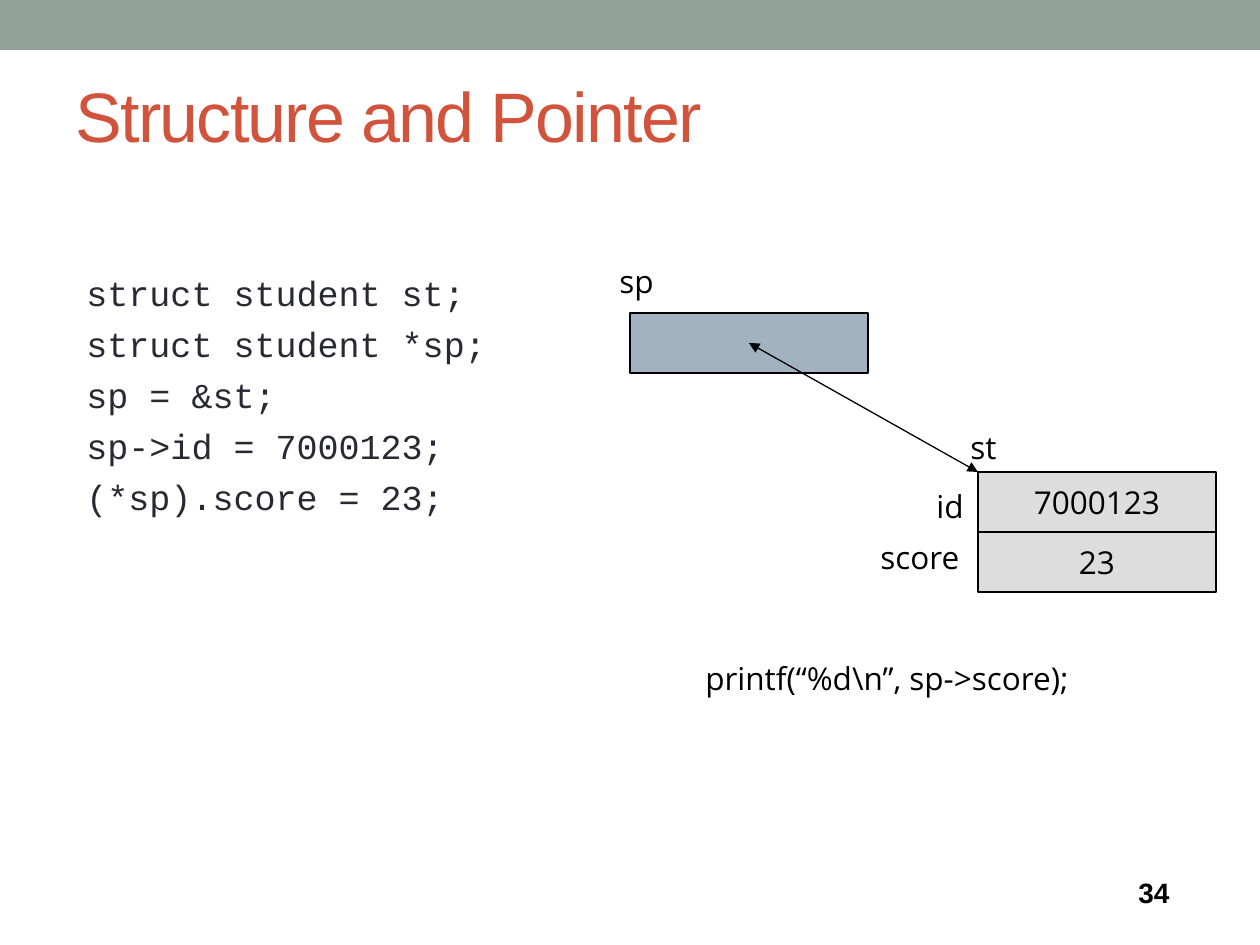
from pptx import Presentation
from pptx import util as u
from pptx.dml.color import RGBColor
from pptx.enum import shapes, text
from lxml import etree

PX = 914400 // 126
SAGE = RGBColor(0x93, 0xA2, 0x99)
RED = RGBColor(0xD2, 0x53, 0x3C)
INK = RGBColor(0x29, 0x29, 0x34)
BLUE_GRAY = RGBColor(0xA3, 0xB2, 0xC1)
LIGHT_GRAY = RGBColor(0xDD, 0xDD, 0xDD)
BLACK = RGBColor(0, 0, 0)
LINE_WIDTH = u.Pt(0.75)

presentation = Presentation()
presentation.slide_width, presentation.slide_height = 1260 * PX, 945 * PX
slide = presentation.slides.add_slide(presentation.slide_layouts[5])


def write(shape, content, font="Open Sans", size=18, color=BLACK, wrap=False):
    frame = shape.text_frame
    frame.text = content
    frame.word_wrap = wrap
    for paragraph in frame.paragraphs:
        for run in paragraph.runs:
            run.font.name, run.font.size = font, u.Pt(size)
            run.font.color.rgb = color
    return frame


def add_box(left, top, width, height, fill, outlined=True):
    box = slide.shapes.add_shape(shapes.MSO_SHAPE.RECTANGLE,
                                 left * PX, top * PX, width * PX, height * PX)
    box.shadow.inherit = False
    box.fill.solid()
    box.fill.fore_color.rgb = fill
    if outlined:
        box.line.color.rgb = BLACK
        box.line.width = LINE_WIDTH
    else:
        box.line.fill.background()
    return box


# Top band and title
add_box(0, 0, 1260, 50, SAGE, outlined=False)
title = slide.shapes.title
title.left, title.top, title.width, title.height = 63 * PX, 55 * PX, 1134 * PX, 118 * PX
frame = write(title, "Structure and Pointer", "Arial", 40, RED, wrap=True)
frame.vertical_anchor = text.MSO_ANCHOR.MIDDLE
frame.paragraphs[0].alignment = text.PP_ALIGN.LEFT
frame.paragraphs[0].runs[0].font._element.set("spc", "-100")

# Code listing
code = slide.shapes.add_textbox(74 * PX, 265 * PX, 1103 * PX, 588 * PX)
lines = ["struct student st;", "struct student *sp;", "sp = &st;",
         "sp->id = 7000123;", "(*sp).score = 23;"]
frame = write(code, "\n".join(lines), "Courier New", 20, INK, wrap=True)
for paragraph in frame.paragraphs:
    paragraph.space_before = u.Pt(5.2)

# Pointer cell and structure fields
CELL_WIDTH, CELL_HEIGHT = 238, 60
STRUCT_LEFT, STRUCT_TOP = 978, 472
add_box(630, 313, CELL_WIDTH, CELL_HEIGHT, BLUE_GRAY)
for row, value in enumerate(["7000123", "23"]):
    cell = add_box(STRUCT_LEFT, STRUCT_TOP + row * CELL_HEIGHT,
                   CELL_WIDTH, CELL_HEIGHT, LIGHT_GRAY)
    frame = write(cell, value)
    frame.vertical_anchor = text.MSO_ANCHOR.MIDDLE
    frame.paragraphs[0].alignment = text.PP_ALIGN.CENTER

# Pointer arrow
arrow = slide.shapes.add_connector(shapes.MSO_CONNECTOR.STRAIGHT, 749 * PX, 343 * PX,
                                   STRUCT_LEFT * PX, STRUCT_TOP * PX)
arrow.line.color.rgb = BLACK
arrow.line.width = LINE_WIDTH
namespace = "{http://schemas.openxmlformats.org/drawingml/2006/main}"
for end in ("headEnd", "tailEnd"):
    etree.SubElement(arrow.line._get_or_add_ln(), namespace + end, type="triangle")
etree.SubElement(arrow._element.spPr, namespace + "effectLst")

# Labels and print statement
for content, left, top, width in [
    ("sp", 607, 256, 60),
    ("st", 958, 422, 54),
    ("id", 924, 481, 53),
    ("score", 868, 532, 108),
    ("printf(“%d\\n”, sp->score);", 693, 653, 452),
]:
    label = slide.shapes.add_textbox(left * PX, top * PX, width * PX, 50 * PX)
    write(label, content)
    label.text_frame.auto_size = text.MSO_AUTO_SIZE.SHAPE_TO_FIT_TEXT

# Slide number
number = slide.shapes.add_textbox(1126 * PX, 870 * PX, 90 * PX, 45 * PX)
frame = write(number, "34", "Arial", 16, wrap=True)
frame.vertical_anchor = text.MSO_ANCHOR.MIDDLE
frame.paragraphs[0].runs[0].font.bold = True

presentation.save("out.pptx")
